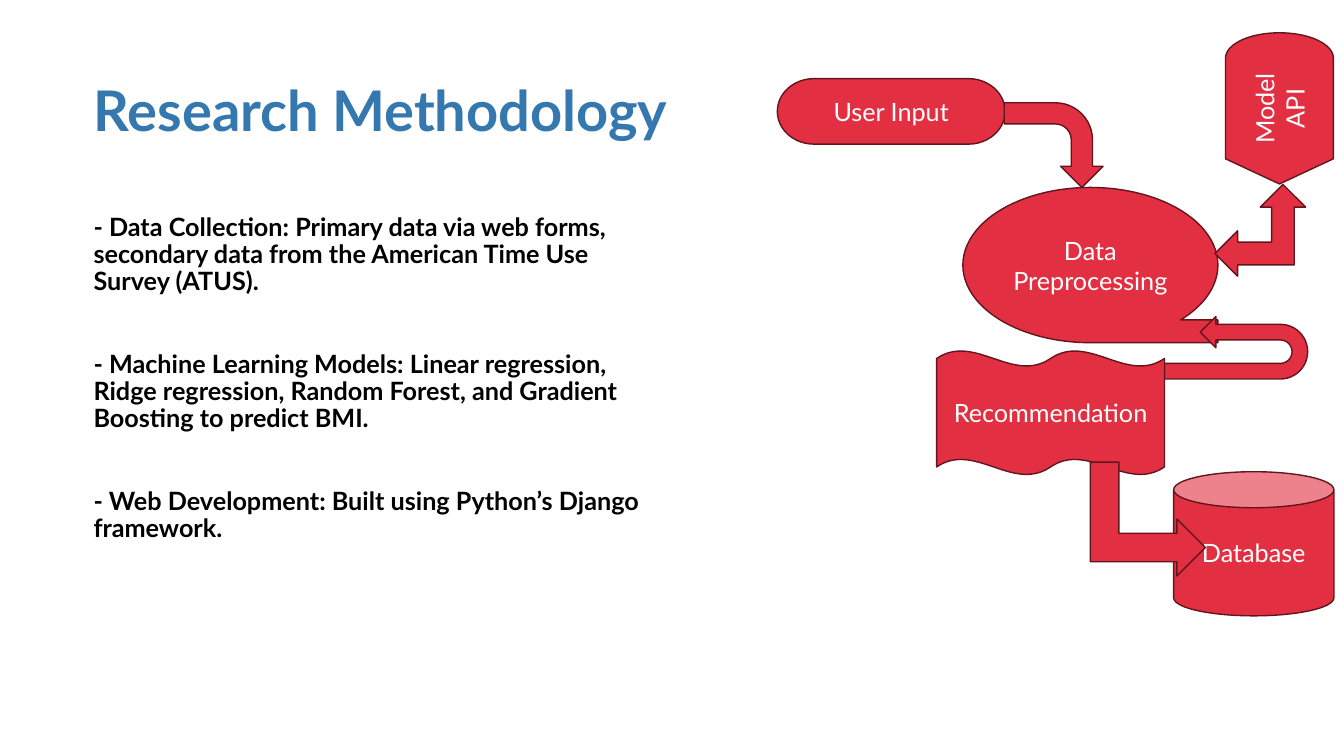
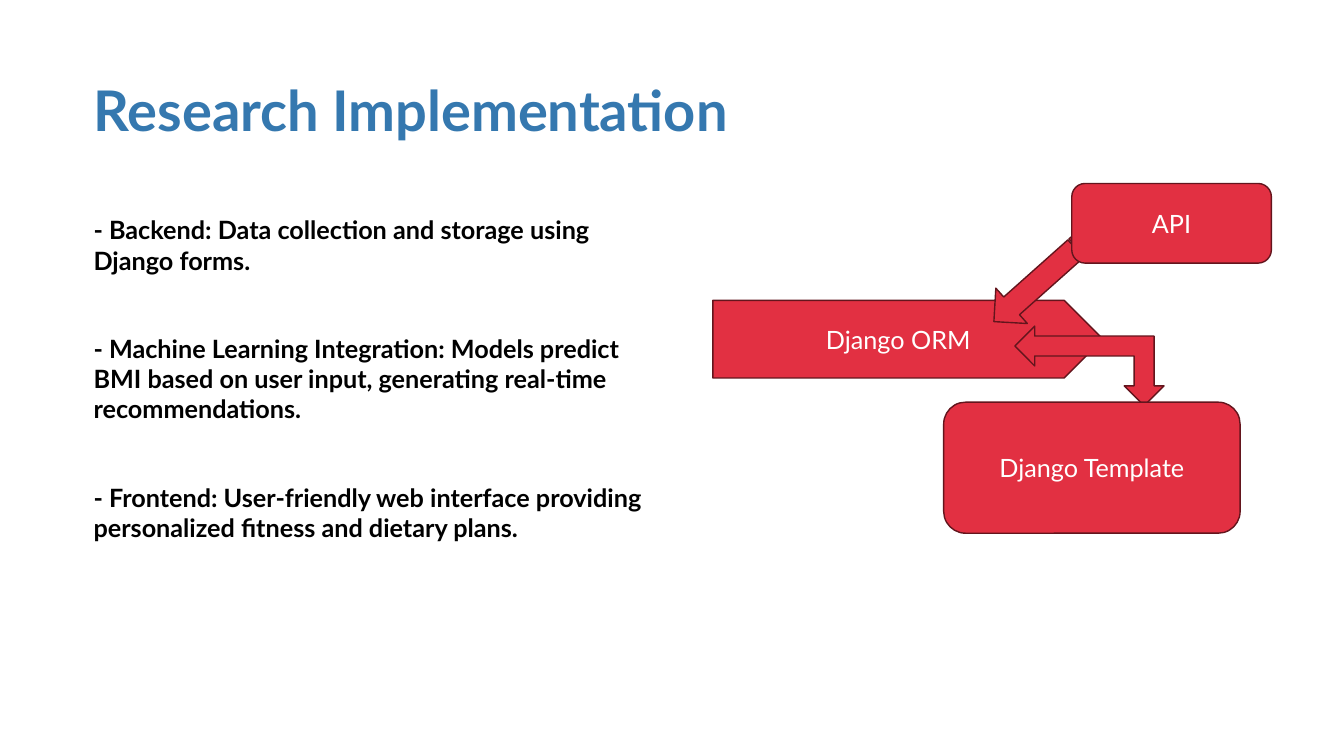
"""Build the research methodology and research implementation slides."""
from dataclasses import dataclass

from pptx import Presentation
from pptx import util as u
from pptx.dml import color
from pptx.enum import shapes, text

COLORS = {"title": "3578AF", "body": "000000", "fill": "E23042", "outline": "63151D", "label": "FFFFFF"}
FONT = "Lato"
BODY_SIZE = 18
LINE_HEIGHT = 1.2
SPACE_BEFORE = 10
SHAPE = shapes.MSO_SHAPE


@dataclass(frozen=True)
class Node:
    kind: shapes.MSO_SHAPE
    left: float
    top: float
    width: float
    height: float
    label: str = ""
    rotation: float = 0
    flipped: bool = False


@dataclass(frozen=True)
class Page:
    title: str
    title_width: float
    points: tuple[str, ...]
    line_spacing: float
    nodes: tuple[Node, ...]


PAGES = (
    Page(
        "Research Methodology",
        6.87,
        (
            "- Data Collection: Primary data via web forms, secondary data from the American Time Use Survey (ATUS).",
            "- Machine Learning Models: Linear regression, Ridge regression, Random Forest, "
            "and Gradient Boosting to predict BMI.",
            "- Web Development: Built using Python’s Django framework.",
        ),
        0.9,
        (
            Node(SHAPE.FLOWCHART_TERMINATOR, 7.71, 0.78, 2.26, 0.65, "User Input"),
            Node(SHAPE.BENT_ARROW, 10.03, 0.95, 0.84, 0.98, rotation=90),
            Node(SHAPE.FLOWCHART_SEQUENTIAL_ACCESS_STORAGE, 9.55, 1.86, 2.53, 1.54, "Data Preprocessing"),
            Node(SHAPE.LEFT_UP_ARROW, 12.05, 1.83, 0.9, 0.91),
            Node(SHAPE.FLOWCHART_DISPLAY, 11.94, 0.54, 1.5, 1.07, "Model API", rotation=270),
            Node(SHAPE.U_TURN_ARROW, 11.95, 2.74, 0.62, 1.42, rotation=90, flipped=True),
            Node(SHAPE.DOUBLE_WAVE, 9.29, 3.48, 2.26, 1.23, "Recommendation"),
            Node(SHAPE.CAN, 11.64, 4.68, 1.59, 1.43, "Database"),
            Node(SHAPE.BENT_UP_ARROW, 10.82, 4.58, 1.13, 1.14, rotation=90),
        ),
    ),
    Page(
        "Research Implementation",
        7.17,
        (
            "- Backend: Data collection and storage using Django forms.",
            "- Machine Learning Integration: Models predict BMI based on user input, "
            "generating real-time recommendations.",
            "- Frontend: User-friendly web interface providing personalized fitness and dietary plans.",
        ),
        1.0,
        (
            Node(SHAPE.PENTAGON, 7.07, 2.98, 3.87, 0.77, "Django ORM"),
            Node(SHAPE.LEFT_UP_ARROW, 10.41, 2.89, 0.79, 1.48, rotation=270),
            Node(SHAPE.ROUNDED_RECTANGLE, 9.36, 3.99, 2.94, 1.3, "Django Template"),
            Node(SHAPE.STRIPED_RIGHT_ARROW, 9.71, 2.57, 1.16, 0.47, rotation=138.3),
            Node(SHAPE.FLOWCHART_ALTERNATE_PROCESS, 10.63, 1.82, 1.98, 0.79, "API"),
        ),
    ),
)


def rgb(name: str) -> color.RGBColor:
    return color.RGBColor.from_string(COLORS[name])


def write_text(
    frame,
    *lines: str,
    size: float = BODY_SIZE,
    ink: str = "label",
    bold: bool = False,
    align=text.PP_ALIGN.LEFT,
    anchor=text.MSO_ANCHOR.TOP,
    line_spacing: float = 1.0,
    gap: float = 0,
) -> None:
    frame.word_wrap = True
    frame.vertical_anchor = anchor
    for index, line in enumerate(lines):
        paragraph = frame.add_paragraph() if index else frame.paragraphs[0]
        paragraph.alignment = align
        paragraph.line_spacing = line_spacing
        if index:
            paragraph.space_before = u.Pt(gap)
        run = paragraph.add_run()
        run.text = line
        run.font.name = FONT
        run.font.size = u.Pt(size)
        run.font.bold = bold
        run.font.color.rgb = rgb(ink)


def add_text_box(slide, left: float, top: float, width: float, height: float, *lines: str, **style) -> None:
    box = slide.shapes.add_textbox(u.Inches(left), u.Inches(top), u.Inches(width), u.Inches(height))
    write_text(box.text_frame, *lines, **style)


def add_node(slide, node: Node) -> None:
    shape = slide.shapes.add_shape(
        node.kind, u.Inches(node.left), u.Inches(node.top), u.Inches(node.width), u.Inches(node.height)
    )
    shape.shadow.inherit = False
    shape.rotation = node.rotation
    if node.flipped:
        shape.element.spPr.xfrm.set("flipH", "1")
    shape.fill.solid()
    shape.fill.fore_color.rgb = rgb("fill")
    shape.line.color.rgb = rgb("outline")
    shape.line.width = u.Pt(1)
    if node.label:
        write_text(shape.text_frame, node.label, align=text.PP_ALIGN.CENTER, anchor=text.MSO_ANCHOR.MIDDLE)


def add_page(presentation, page: Page) -> None:
    slide = presentation.slides.add_slide(presentation.slide_layouts[6])
    add_text_box(
        slide, 0.83, 0.78, page.title_width, 1.3, page.title, size=40, ink="title", bold=True, line_spacing=0.9
    )
    gap = 2 * SPACE_BEFORE + BODY_SIZE * LINE_HEIGHT * page.line_spacing
    add_text_box(
        slide, 0.83, 2.08, 5.83, 3.58, *page.points, ink="body", bold=True, line_spacing=page.line_spacing, gap=gap
    )
    for node in page.nodes:
        add_node(slide, node)


def main() -> None:
    presentation = Presentation()
    presentation.slide_width = u.Inches(13.33)
    presentation.slide_height = u.Inches(7.5)
    for page in PAGES:
        add_page(presentation, page)
    presentation.save("out.pptx")


if __name__ == "__main__":
    main()
